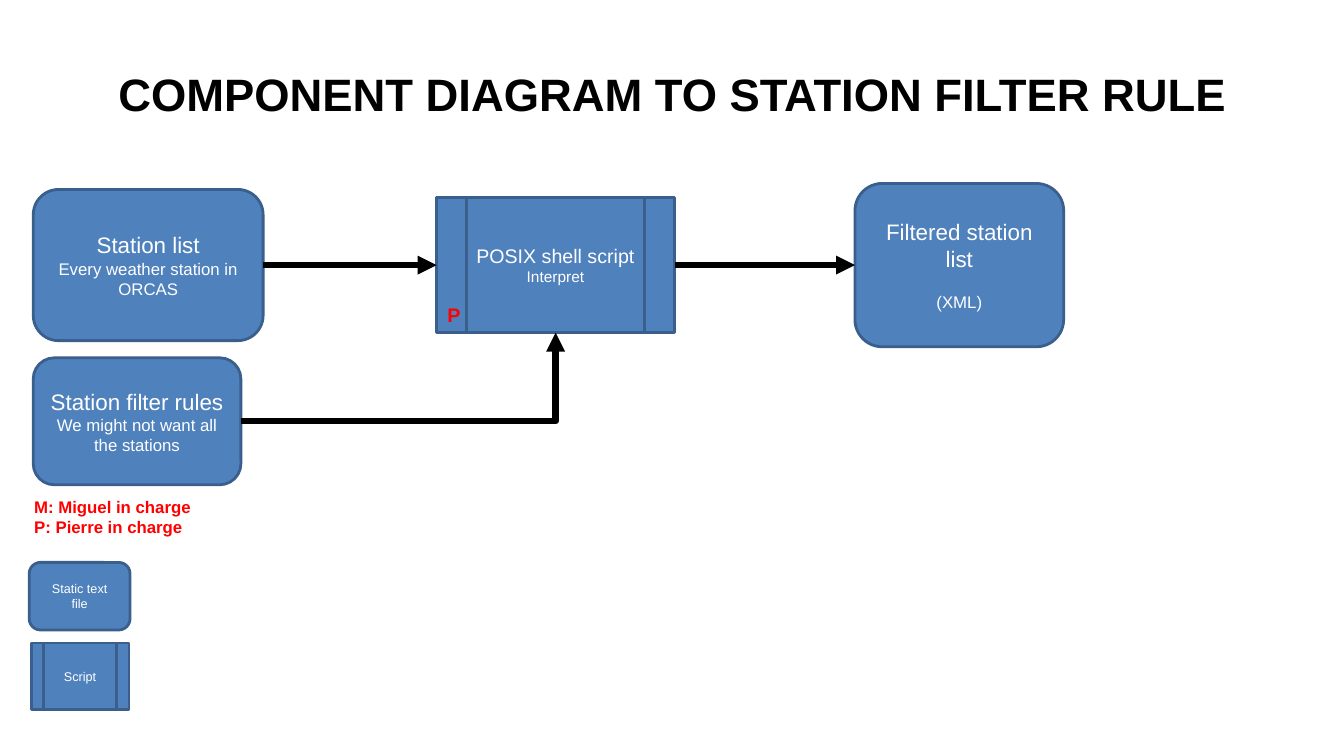
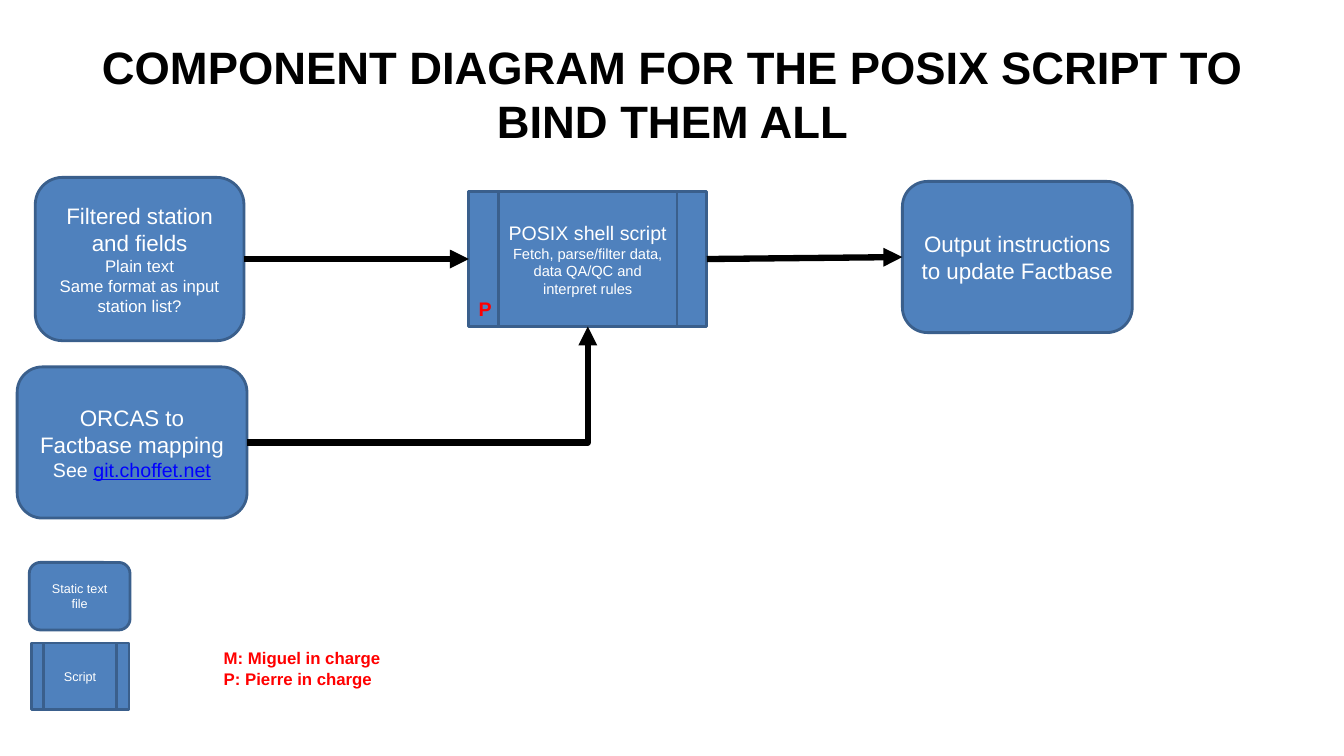
from lxml.etree import SubElement
from pptx import Presentation
from pptx.dml.color import RGBColor
from pptx.enum.shapes import MSO_CONNECTOR, MSO_SHAPE
from pptx.enum.text import MSO_ANCHOR, MSO_AUTO_SIZE, PP_ALIGN
from pptx.oxml.ns import qn
from pptx.util import Inches, Pt

COLORS = {
    "box": "4F81BD",
    "border": "3A5F8C",
    "box_text": "FFFFFF",
    "ink": "000000",
    "owner": "FF0000",
    "link": "0000FF",
}
FONT = "Arial"
TOP, LEFT, BOTTOM, RIGHT = range(4)  # connection sites
SCRIPT_SIZE = (2.36, 1.34)
FILE_SIZE = (2.28, 1.5)
FILTERED_SIZE = (2.07, 1.62)


def color(name):
    return RGBColor.from_string(COLORS[name])


def style(paragraph, size, color_name, bold=False, align=PP_ALIGN.LEFT):
    paragraph.alignment = align
    font = paragraph.font
    font.name, font.size, font.bold = FONT, Pt(size), bold
    font.color.rgb = color(color_name)


def write(frame, lines, color_name, **options):
    """Fill a text frame with one paragraph per (text, size) pair."""
    for index, (text, size) in enumerate(lines):
        paragraph = frame.add_paragraph() if index else frame.paragraphs[0]
        paragraph.add_run().text = text
        style(paragraph, size, color_name, **options)


def add_titled_slide(prs, text):
    slide = prs.slides.add_slide(prs.slide_layouts[5])
    title = slide.shapes.title
    title.left, title.top = Inches(0.67), Inches(0.3)
    title.width, title.height = Inches(12), Inches(1.25)
    frame = title.text_frame
    frame.word_wrap = True
    frame.auto_size = MSO_AUTO_SIZE.NONE
    frame.vertical_anchor = MSO_ANCHOR.MIDDLE
    write(frame, [(text, 32.4)], "ink", bold=True, align=PP_ALIGN.CENTER)
    return slide


def add_box(slide, kind, position, size, lines):
    box = slide.shapes.add_shape(kind, *map(Inches, position + size))
    box.shadow.inherit = False
    box.fill.solid()
    box.fill.fore_color.rgb = color("box")
    box.line.color.rgb = color("border")
    box.line.width = Pt(2)
    frame = box.text_frame
    frame.word_wrap = True
    frame.vertical_anchor = MSO_ANCHOR.MIDDLE
    write(frame, lines, "box_text", align=PP_ALIGN.CENTER)
    return box


def add_file(slide, position, size, *lines):
    return add_box(slide, MSO_SHAPE.ROUNDED_RECTANGLE, position, size, lines)


def add_script(slide, position, size, *lines):
    return add_box(slide, MSO_SHAPE.FLOWCHART_PREDEFINED_PROCESS,
                   position, size, lines)


def add_owner_text(slide, position, size, *lines):
    label = slide.shapes.add_textbox(*map(Inches, position + size))
    label.text_frame.word_wrap = False
    write(label.text_frame, lines, "owner", bold=True)


def add_arrow(slide, source, target, side=LEFT):
    """Join the right of source to target, with one bend if side is BOTTOM."""
    bent = side == BOTTOM
    kind = MSO_CONNECTOR.ELBOW if bent else MSO_CONNECTOR.STRAIGHT
    arrow = slide.shapes.add_connector(kind, 0, 0, 0, 0)
    arrow.begin_connect(source, RIGHT)
    arrow.end_connect(target, side)
    arrow.line.color.rgb = color("ink")
    arrow.line.width = Pt(4.5)
    properties = arrow.line._get_or_add_ln().getparent()
    if bent:
        properties.find(qn("a:prstGeom")).set("prst", "bentConnector2")
    SubElement(properties.find(qn("a:ln")), qn("a:tailEnd"), type="triangle")
    SubElement(properties, qn("a:effectLst"))


def add_legend(slide, owners_position):
    add_file(slide, (0.29, 5.58), (1, 0.67), ("Static text file", 9))
    add_script(slide, (0.31, 6.38), (0.97, 0.66), ("Script", 9))
    add_owner_text(slide, owners_position, (1.78, 0.71),
                   ("M: Miguel in charge", 12), ("P: Pierre in charge", 12))


def add_flow(slide, main_input, rules, script, output):
    add_arrow(slide, main_input, script)
    add_arrow(slide, script, output)
    add_arrow(slide, rules, script, BOTTOM)


def build_filter_slide(prs):
    slide = add_titled_slide(prs, "COMPONENT DIAGRAM TO STATION FILTER RULE")
    stations = add_file(slide, (0.33, 1.88), FILE_SIZE, ("Station list", 16),
                        ("Every weather station in ORCAS", 12))
    rules = add_file(slide, (0.33, 3.55), (2.06, 1.26),
                     ("Station filter rules", 16),
                     ("We might not want all the stations", 12))
    script = add_script(slide, (4.33, 1.96), SCRIPT_SIZE,
                        ("POSIX shell script", 14), ("Interpret", 11))
    filtered = add_file(slide, (8.48, 1.82), FILTERED_SIZE,
                        ("Filtered station list", 16), ("(XML)", 12))
    filtered.text_frame.paragraphs[1].space_before = Pt(14)
    add_owner_text(slide, (4.34, 2.96), (0.33, 0.34), ("P", 14))
    add_flow(slide, stations, rules, script, filtered)
    add_legend(slide, (0.24, 4.88))


def build_binding_slide(prs):
    slide = add_titled_slide(
        prs, "COMPONENT DIAGRAM FOR THE POSIX SCRIPT TO BIND THEM ALL")
    filtered = add_file(slide, (0.35, 1.76), FILTERED_SIZE,
                        ("Filtered station and fields", 16),
                        ("Plain text", 12),
                        ("Same format as input station list?", 12))
    mapping = add_file(slide, (0.17, 3.64), FILE_SIZE,
                       ("ORCAS to Factbase mapping", 16), ("See ", 14))
    address = mapping.text_frame.paragraphs[1].add_run()
    address.text = "git.choffet.net"
    address.font.color.rgb = color("link")
    address.font.underline = True
    script = add_script(
        slide, (4.65, 1.9), SCRIPT_SIZE, ("POSIX shell script", 14),
        ("Fetch, parse/filter data, data QA/QC and interpret rules", 10.5))
    output = add_file(slide, (8.95, 1.8), FILE_SIZE,
                      ("Output instructions to update Factbase", 16))
    add_owner_text(slide, (4.65, 2.9), (0.33, 0.34), ("P", 14))
    add_flow(slide, filtered, mapping, script, output)
    add_legend(slide, (2.12, 6.38))


def main():
    prs = Presentation()
    prs.slide_width, prs.slide_height = Inches(13.33), Inches(7.5)
    build_filter_slide(prs)
    build_binding_slide(prs)
    prs.save("out.pptx")


if __name__ == "__main__":
    main()
